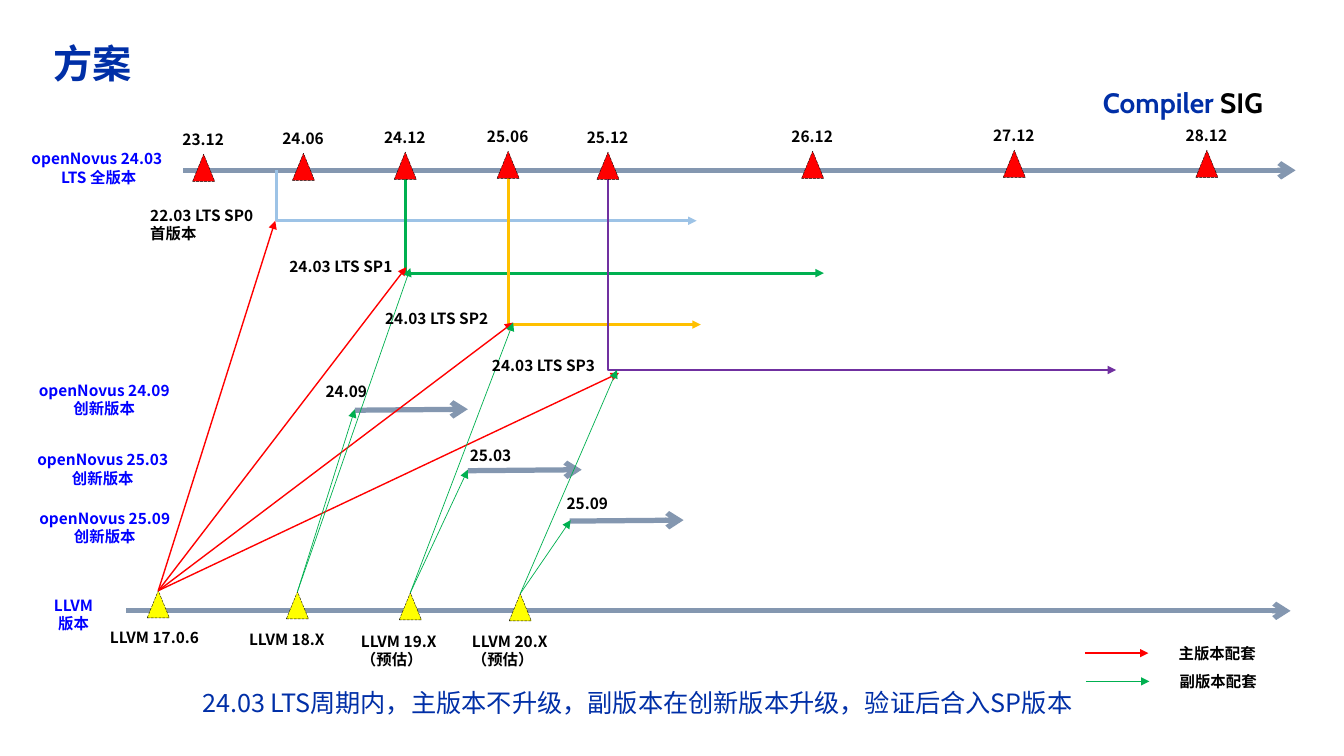
"""Build the release-plan slide that maps LLVM versions to system releases."""
from pptx import Presentation
from pptx.dml.color import RGBColor
from pptx.enum.dml import MSO_LINE
from pptx.enum.shapes import MSO_CONNECTOR as Route, MSO_SHAPE as Shape
from pptx.enum.text import MSO_ANCHOR as Anchor, MSO_AUTO_SIZE as Fit, PP_ALIGN as Align
from pptx.oxml.ns import qn
from pptx.util import Inches, Pt
from lxml.etree import SubElement

THEME = {
    "sans": "Noto Sans CJK SC", "brand": "Cabin",
    "navy": "002FA7", "blue": "0000FF", "black": "000000", "slate": "8497B0",
    "red": "FF0000", "green": "00B050", "yellow": "FFFF00",
    "sky": "9DC3E6", "amber": "FFC000", "purple": "7030A0",
    "title": 28, "heading": 20, "summary": 18, "label": 11,
    "axis": 3.75, "branch": 2, "main": 1, "side": 0.5, "edge": 0.25,
}
TITLE = "方案"
HEADING = [("Compiler", "navy"), (" SIG", "black")]
SUMMARY = "24.03 LTS周期内，主版本不升级，副版本在创新版本升级，验证后合入SP版本"

# label, centre x, marker top
MILESTONES = [
    ("23.12", 2.02, 1.53), ("24.06", 3.01, 1.52), ("24.12", 4.02, 1.51),
    ("25.06", 5.04, 1.5), ("25.12", 6.03, 1.51), ("26.12", 8.06, 1.5),
    ("27.12", 10.06, 1.49), ("28.12", 11.97, 1.49),
]
# lines, centre x, marker top, label left, label top, width
COMPILERS = [
    (["LLVM 17.0.6"], 1.57, 5.86, 1.01, 6.19, 1.11),
    (["LLVM 18.X"], 2.95, 5.87, 2.39, 6.21, 0.99),
    (["LLVM 19.X", "（预估）"], 4.07, 5.88, 3.5, 6.23, 0.99),
    (["LLVM 20.X", "（预估）"], 5.16, 5.89, 4.6, 6.23, 0.99),
]
# lines, left, top, width
STREAMS = [
    (["openNovus 24.03 ", "LTS 全版本"], 0.15, 1.44, 1.66),
    (["openNovus 24.09", "创新版本"], 0.25, 3.74, 1.57),
    (["openNovus 25.03", "创新版本"], 0.28, 4.43, 1.48),
    (["openNovus 25.09", "创新版本"], 0.3, 5.01, 1.48),
    (["LLVM", "版本"], 0.43, 5.87, 0.6),
]
RELEASES = [
    (["22.03 LTS SP0", "首版本"], 1.41, 2, 1.24),
    (["24.03 LTS SP1"], 2.79, 2.51, 1.24),
    (["24.03 LTS SP2"], 3.74, 3.03, 1.24),
    (["24.03 LTS SP3"], 4.8, 3.49, 1.24),
    (["24.09"], 3.15, 3.75, 0.59),
    (["25.03"], 4.58, 4.39, 0.59),
    (["25.09"], 5.54, 4.86, 0.59),
]
AXES = [
    ((1.82, 1.69), (12.85, 1.69)), ((1.25, 6.06), (12.8, 6.06)),
    ((3.52, 4.07), (4.64, 4.06)), ((4.64, 4.67), (5.77, 4.66)),
    ((5.65, 5.17), (6.78, 5.16)),
]
SERVICE_PACKS = [
    ((2.74, 1.69), (6.91, 2.19), "sky"), ((4.02, 1.78), (8.17, 2.71), "green"),
    ((5.04, 1.77), (6.95, 3.22), "amber"), ((6.03, 1.78), (11.07, 3.67), "purple"),
]
# compiler index, colour, weight, arrow ends
MATCHES = [
    (0, "red", "main", [(2.73, 2.19), (4.03, 2.65), (5.09, 3.2), (6.14, 3.7)]),
    (1, "green", "side", [(3.52, 4.06), (4.07, 2.66)]),
    (2, "green", "side", [(4.64, 4.66), (5.09, 3.2)]),
    (3, "green", "side", [(5.66, 5.16), (6.12, 3.67)]),
]
LEGEND = [("主版本配套", "red", 10.76, 6.48), ("副版本配套", "green", 10.77, 6.76)]
MARKER = (0.22, 0.27)


def color(name):
    return RGBColor.from_string(THEME[name])


def apply(target, formats):
    for name, value in formats.items():
        setattr(target, name, value)


def write(para, text, size, tint, bold=True, face="sans"):
    span = para.add_run()
    span.text = text
    apply(span.font, {"size": Pt(THEME[size]), "bold": bold, "name": THEME[face]})
    span.font.color.rgb = color(tint)
    SubElement(span.font._element, qn("a:ea"), typeface=THEME[face])


def add_box(page, left, top, width, height, wrap=False, inset=(0.08, 0.04)):
    box = page.shapes.add_textbox(*map(Inches, (left, top, width, height)))
    side, edge = map(Inches, inset)
    apply(box.text_frame, {
        "word_wrap": wrap, "auto_size": Fit.SHAPE_TO_FIT_TEXT,
        "margin_left": side, "margin_right": side, "margin_top": edge, "margin_bottom": edge,
    })
    return box.text_frame


def add_label(page, lines, left, top, width, tint="black", align=Align.LEFT, wrap=False):
    frame = add_box(page, left, top, width, 0.08 + 0.19 * len(lines), wrap)
    for index, line in enumerate(lines):
        para = frame.add_paragraph() if index else frame.paragraphs[0]
        para.alignment = align
        write(para, line, "label", tint)


def add_arrow(page, start, end, tint, weight, head="triangle", route=Route.STRAIGHT):
    arrow = page.shapes.add_connector(route, *map(Inches, (*start, *end)))
    apply(arrow.line, {"width": Pt(THEME[weight])})
    arrow.line.color.rgb = color(tint)
    SubElement(arrow.line._get_or_add_ln(), qn("a:tailEnd"), type=head)
    SubElement(arrow.element.spPr, qn("a:effectLst"))
    return arrow


def add_down_then_right(page, start, end, tint):
    middle_x, middle_y = ((a + b) / 2 for a, b in zip(start, end))
    half_x, half_y = ((b - a) / 2 for a, b in zip(start, end))
    arrow = add_arrow(page, (middle_x - half_y, middle_y - half_x),
                      (middle_x + half_y, middle_y + half_x), tint, "branch", route=Route.ELBOW)
    properties = arrow.element.spPr
    properties.find(qn("a:prstGeom")).set("prst", "bentConnector2")
    frame = properties.find(qn("a:xfrm"))
    for name, value in {"rot": "16200000", "flipH": "1"}.items():
        frame.set(name, value)


def add_marker(page, center, top, tint):
    width, height = MARKER
    marker = page.shapes.add_shape(
        Shape.ISOSCELES_TRIANGLE, *map(Inches, (center - width / 2, top, width, height)))
    marker.shadow.inherit = False
    marker.fill.solid()
    marker.fill.fore_color.rgb = color(tint)
    marker.line.color.rgb = color("black")
    apply(marker.line, {"width": Pt(THEME["edge"]), "dash_style": MSO_LINE.LONG_DASH})


def add_titles(page):
    title = page.shapes.title
    apply(title, {"left": Inches(0.42), "top": Inches(0.39),
                  "width": Inches(10.05), "height": Inches(0.53)})
    apply(title.text_frame, {"vertical_anchor": Anchor.MIDDLE, "auto_size": Fit.NONE,
                             "margin_left": Inches(0.11)})
    para = title.text_frame.paragraphs[0]
    apply(para, {"alignment": Align.LEFT, "line_spacing": 0.9})
    write(para, TITLE, "title", "navy")
    heading = add_box(page, 10.84, 0.8, 1.95, 0.44, True, (0.1, 0.05))
    for text, tint in HEADING:
        write(heading.paragraphs[0], text, "heading", tint, face="brand")
    summary = add_box(page, 1.91, 6.77, 10.17, 0.4, True, (0.1, 0.05))
    write(summary.paragraphs[0], SUMMARY, "summary", "navy", bold=False)


def main():
    deck = Presentation()
    apply(deck, {"slide_width": Inches(13.33), "slide_height": Inches(7.5)})
    page = deck.slides.add_slide(deck.slide_layouts[5])
    add_titles(page)
    for start, end in AXES:
        add_arrow(page, start, end, "slate", "axis", "arrow")
    for start, end, tint in SERVICE_PACKS:
        add_down_then_right(page, start, end, tint)
    for label, center, top in MILESTONES:
        add_marker(page, center, top, "red")
        add_label(page, [label], center - 0.29, top - 0.28, 0.59)
    for lines, center, top, left, label_top, width in COMPILERS:
        add_marker(page, center, top, "yellow")
        add_label(page, lines, left, label_top, width)
    for index, tint, weight, ends in MATCHES:
        for end in ends:
            add_arrow(page, COMPILERS[index][1:3], end, tint, weight)
    for lines, left, top, width in STREAMS:
        add_label(page, lines, left, top, width, "blue", Align.CENTER, width > 1)
    for release in RELEASES:
        add_label(page, *release)
    for text, tint, left, middle in LEGEND:
        add_arrow(page, (left, middle), (left + 0.63, middle), tint, "main")
        add_label(page, [text], left + 0.85, middle - 0.13, 0.94)
    deck.save("out.pptx")


if __name__ == "__main__":
    main()
